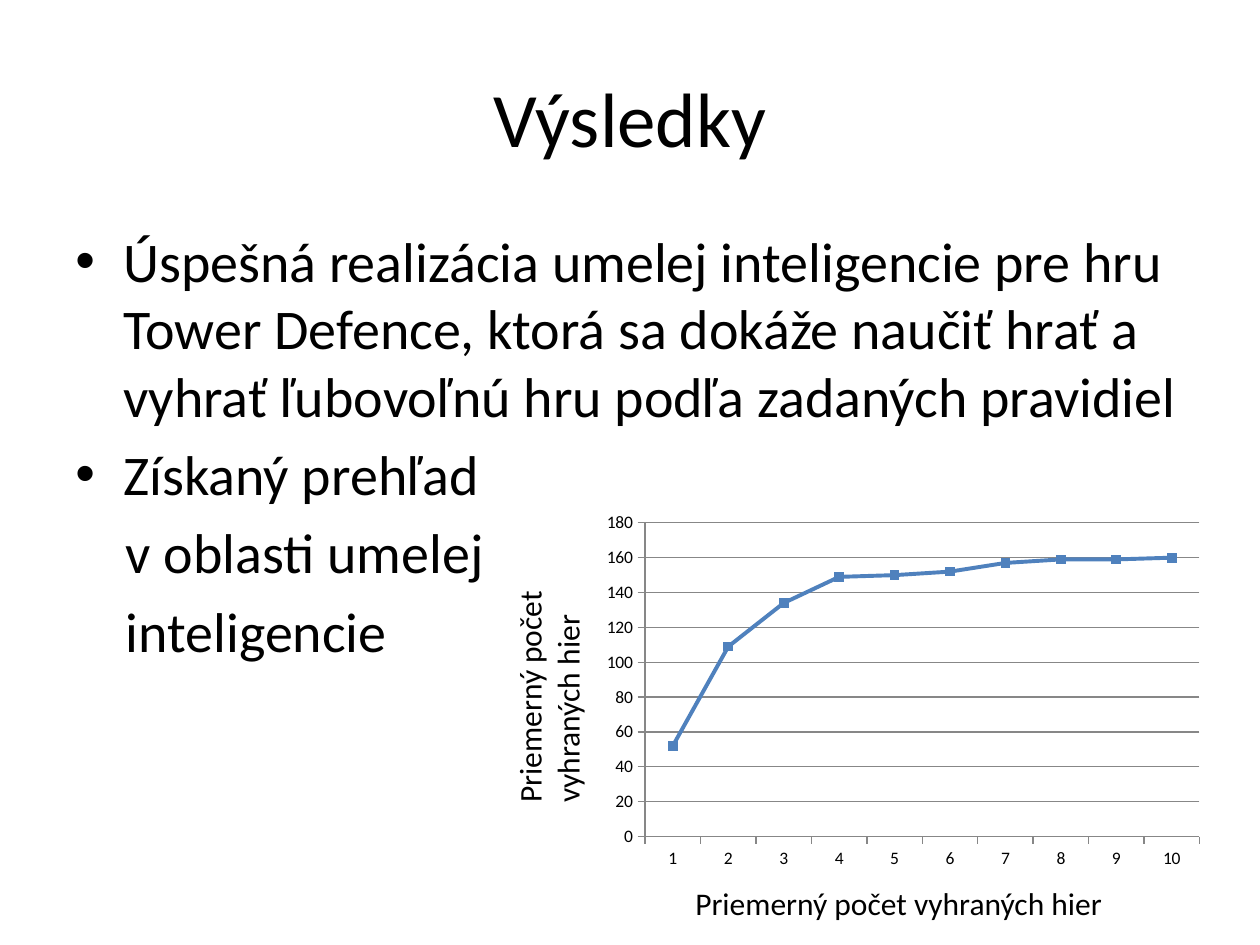
from lxml import etree
from pptx import Presentation
from pptx.chart.data import CategoryChartData
from pptx.dml.color import RGBColor
from pptx.enum.chart import XL_CHART_TYPE, XL_MARKER_STYLE, XL_TICK_MARK
from pptx.enum.text import MSO_ANCHOR, PP_ALIGN
from pptx.oxml.ns import qn
from pptx.util import Inches, Pt

LINE = XL_CHART_TYPE.LINE_MARKERS
SQUARE = XL_MARKER_STYLE.SQUARE
OUT = XL_TICK_MARK.OUTSIDE
MIDDLE = MSO_ANCHOR.MIDDLE
LEFT, CENTER = PP_ALIGN.LEFT, PP_ALIGN.CENTER
FONT, BLACK, GRAY, BLUE = "Calibri", "000000", "878787", "4F81BD"


def paint(color, value):
    color.rgb = RGBColor.from_string(value)


def write(para, text, size=18, align=LEFT, before=0, indent=0, bullet=False):
    run = para.add_run()
    run.text = text
    run.font.size = Pt(size)
    run.font.name = FONT
    paint(run.font.color, BLACK)
    para.alignment = align
    para.space_before = Pt(before)
    props = para._p.get_or_add_pPr()
    props.set("marL", str(Inches(indent)))
    if bullet:
        props.set("indent", str(-Inches(indent)))
        etree.SubElement(props, qn("a:buFont")).set("typeface", "Arial")
        etree.SubElement(props, qn("a:buChar")).set("char", "•")


deck = Presentation()
deck.slide_width, deck.slide_height = Inches(10), Inches(7.5)
slide = deck.slides.add_slide(deck.slide_layouts[5])

title = slide.shapes.title
title.left, title.top = Inches(0.5), Inches(0.3)
title.width, title.height = Inches(9), Inches(1.25)
title.text_frame.vertical_anchor = MIDDLE
write(title.text_frame.paragraphs[0], "Výsledky", size=44, align=CENTER)

body = slide.shapes.add_textbox(Inches(0.5), Inches(1.75), Inches(9), Inches(4.95))
frame = body.text_frame
frame.word_wrap = True
lines = [
    ("Úspešná realizácia umelej inteligencie pre hru Tower Defence, ktorá sa "
     "dokáže naučiť hrať a vyhrať ľubovoľnú hru podľa zadaných pravidiel", 0.38, True),
    ("Získaný prehľad", 0.38, True),
    ("v oblasti umelej", 0.4, False),
    ("inteligencie", 0.4, False),
]
for i, (text, indent, bullet) in enumerate(lines):
    para = frame.add_paragraph() if i else frame.paragraphs[0]
    write(para, text, size=32, before=6.4, indent=indent, bullet=bullet)

data = CategoryChartData()
data.categories = [str(n) for n in range(1, 11)]
data.add_series("Series 1", [52, 109, 134, 149, 150, 152, 157, 159, 159, 160])
chart = slide.shapes.add_chart(
    LINE, Inches(4.67), Inches(4), Inches(5), Inches(3), data).chart
chart.has_legend = False
chart.has_title = False
chart.font.size = Pt(10)
chart.font.name = FONT
paint(chart.font.color, BLACK)
chart.plots[0].vary_by_categories = False

series = chart.plots[0].series[0]
series.smooth = False
series.format.line.width = Pt(2.25)
paint(series.format.line.color, BLUE)
series.marker.style = SQUARE
series.marker.size = 5
series.marker.format.fill.solid()
paint(series.marker.format.fill.fore_color, BLUE)
paint(series.marker.format.line.color, BLUE)

scale = chart.value_axis
scale.minimum_scale, scale.maximum_scale, scale.major_unit = 0, 180, 20
scale.has_major_gridlines = True
for axis in (chart.category_axis, scale):
    axis.major_tick_mark = OUT
    paint(axis.format.line.color, GRAY)
paint(scale.major_gridlines.format.line.color, GRAY)

area = chart._chartSpace.find(".//" + qn("c:plotArea"))
for old in area.findall(qn("c:layout")):
    area.remove(old)
layout = etree.Element(qn("c:layout"))
area.insert(0, layout)
manual = etree.SubElement(layout, qn("c:manualLayout"))
for tag, value in [("layoutTarget", "inner"), ("xMode", "edge"), ("yMode", "edge"),
                   ("x", 0.09), ("y", 0.05), ("w", 0.88), ("h", 0.83)]:
    etree.SubElement(manual, qn("c:" + tag)).set("val", str(value))

for left, top, width, height, turn, wrap in [
    (5.42, 6.97, 3.47, 0.4, 0, False),
    (3.29, 5.05, 2.13, 0.71, 270, True),
]:
    label = slide.shapes.add_textbox(
        Inches(left), Inches(top), Inches(width), Inches(height))
    label.rotation = turn
    label.text_frame.word_wrap = wrap
    write(label.text_frame.paragraphs[0], "Priemerný počet vyhraných hier")

deck.save("out.pptx")
